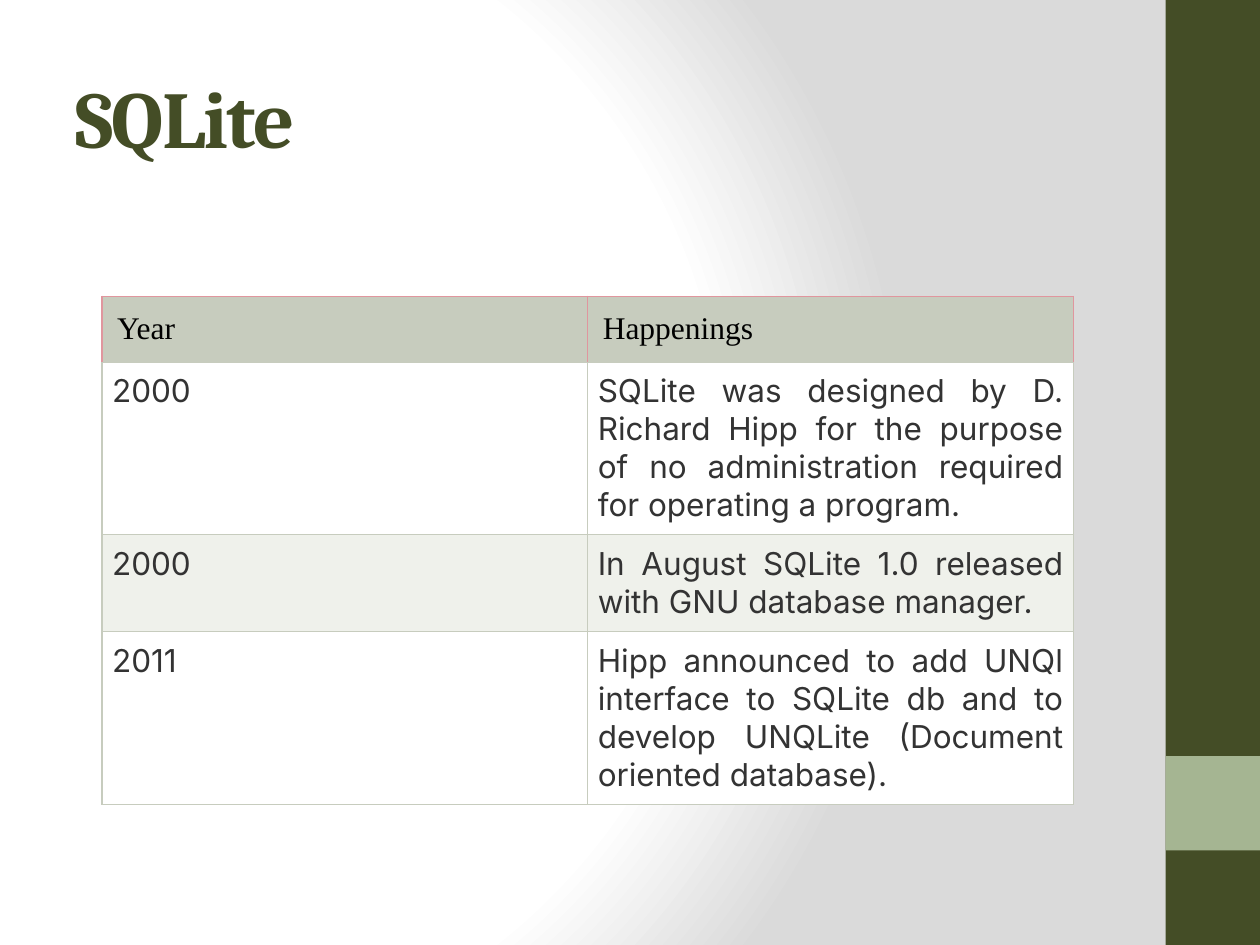
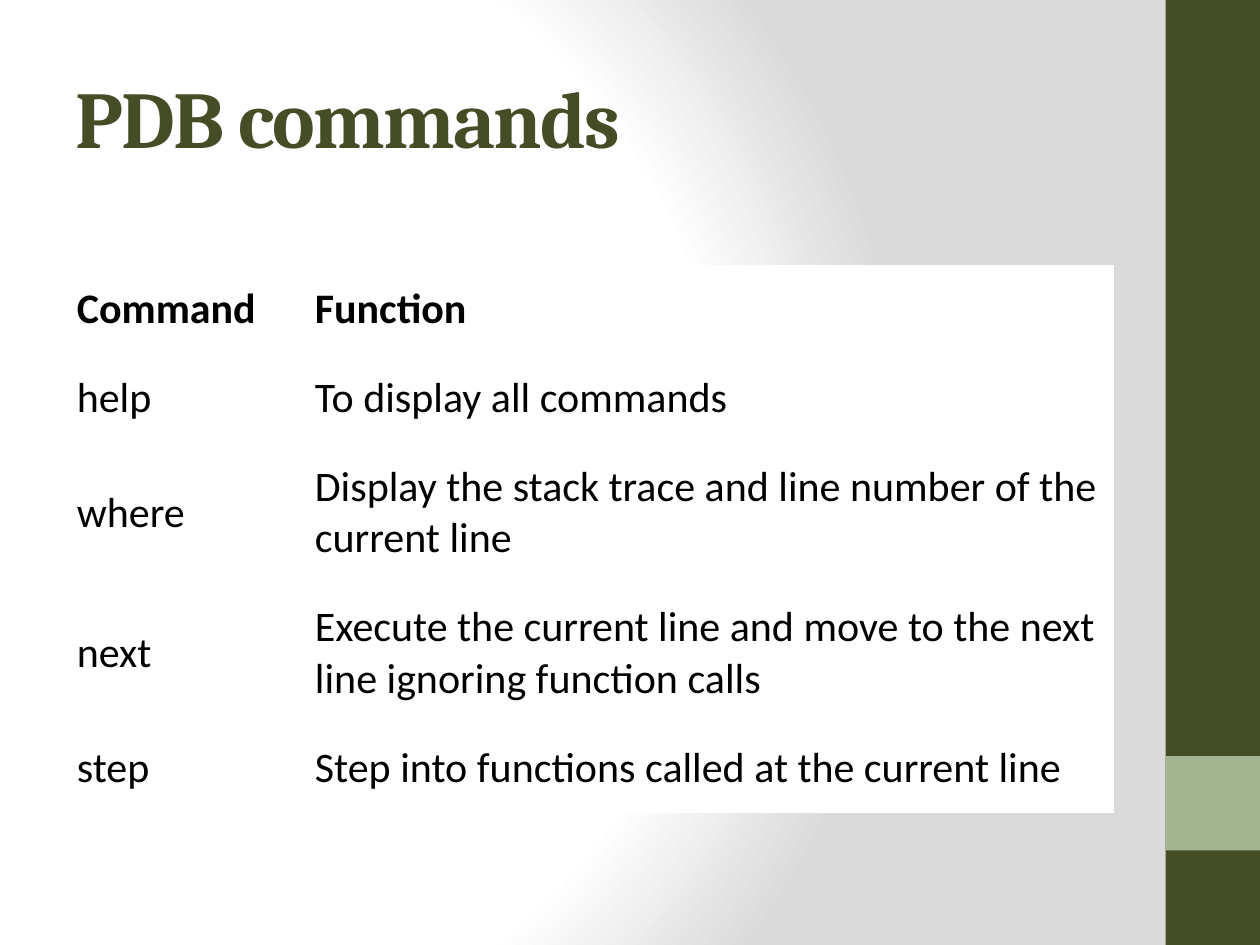
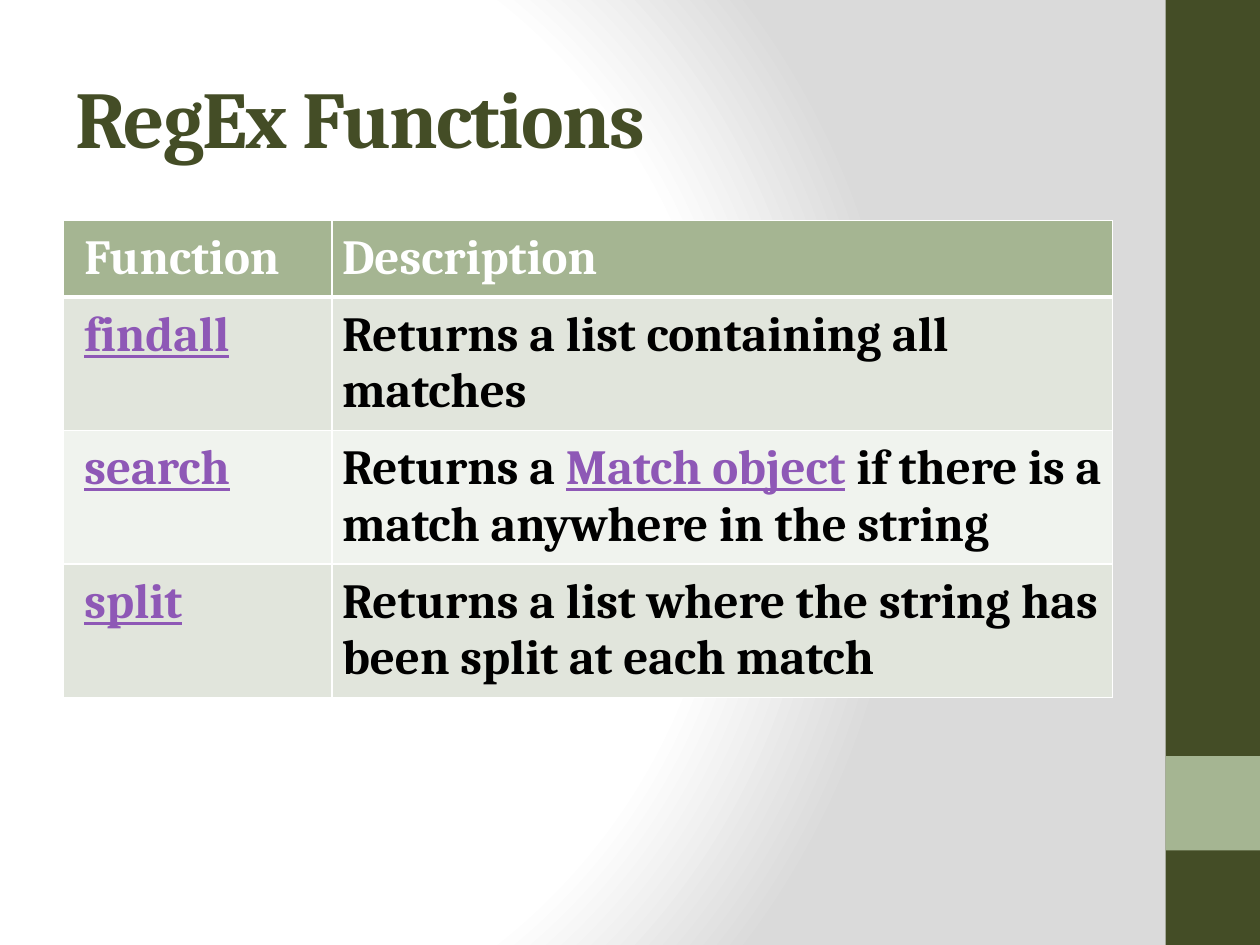
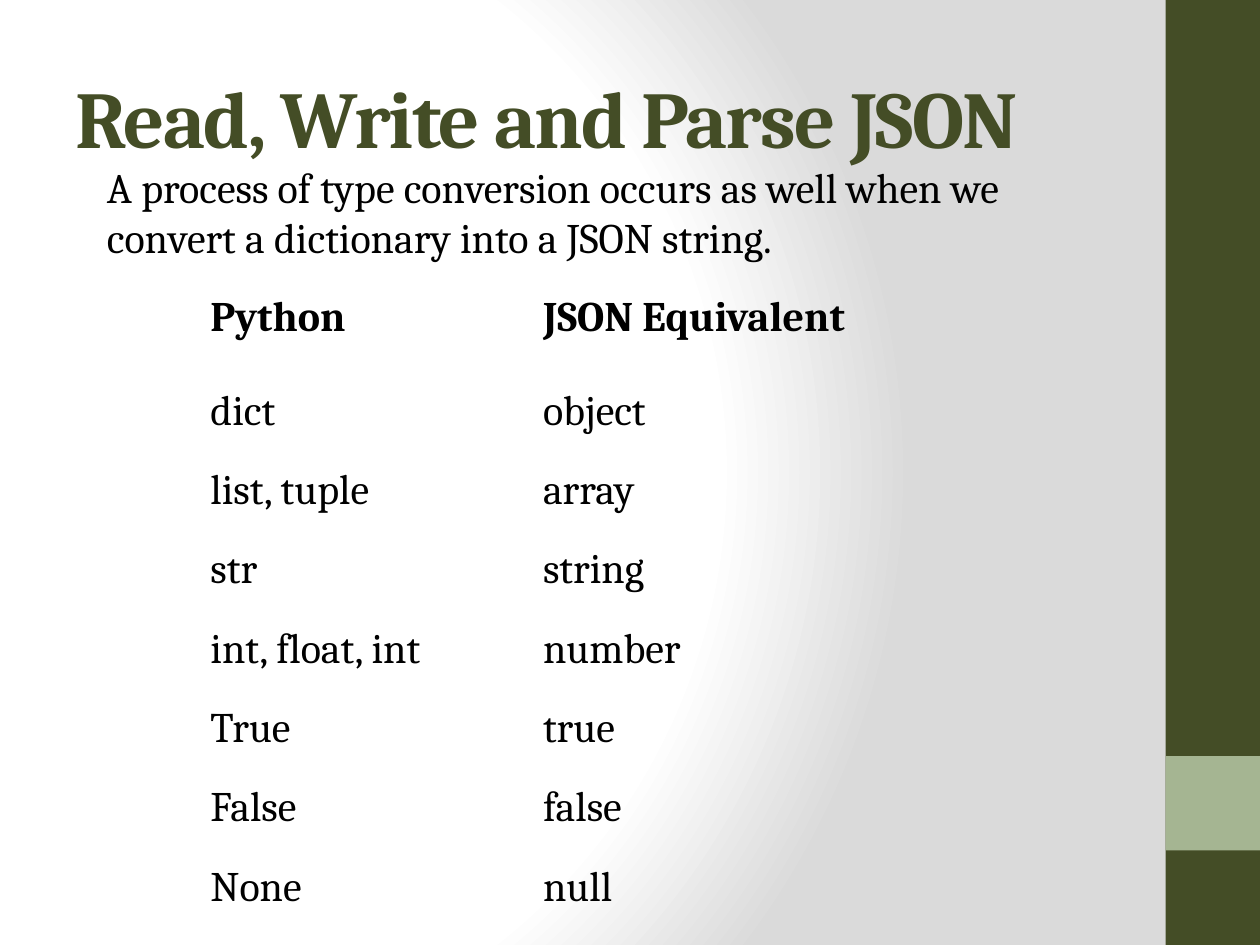
from dataclasses import dataclass, replace

from pptx import Presentation
from pptx.dml.color import RGBColor as Rgb
from pptx.enum.shapes import MSO_SHAPE as Kind
from pptx.enum.text import MSO_ANCHOR as Anchor, MSO_AUTO_SIZE as Fit, PP_ALIGN as Align
from pptx.oxml import parse_xml as to_xml
from pptx.oxml.ns import nsdecls, qn
from pptx.util import Inches, Pt

# Grid of 40 columns and 30 rows
UNIT = 0.25
COLS, ROWS = 40, 30
NO_STYLE = "{2D5ABB26-0587-4C30-8999-92F81FD0307C}"


class Theme:
    dark, sage, white, black = "444D26", "A5B592", "FFFFFF", "000000"
    mist, pale, frost, ash = "E1E5DC", "F0F3EE", "EFF1EB", "DADADA"
    stone, rose, ink, link = "C7CCBE", "E0969E", "333333", "8E58B6"
    serif, sans, roman, inter = "Cambria", "Calibri", "Times New Roman", "Inter"
    title, large, text, small = 46, 28, 24, 18


@dataclass
class Look:
    """Style of the cells in one table row."""
    face: str
    size: int
    color: str = Theme.black
    bold: bool = False
    align: Align = Align.LEFT
    anchor: Anchor = Anchor.TOP
    pad: tuple = (0.08, 0.08)   # across, down
    lead: float = None          # left inset of the first column
    fills: tuple = (None,)      # taken in turn by the rows
    edges: tuple = ()           # left, right, top, bottom as (colour, points)


def grid(*units):
    return [Inches(round(u * UNIT, 3)) for u in units]


def style(font, face, size, color, bold=False):
    font.name, font.size, font.bold = face, Pt(size), bold
    font.color.rgb = Rgb.from_string(color)


# Shared backdrop: gradient and side bands on the master
def backdrop(master):
    master.background.fill.solid()
    stops = ((0, Theme.white), (75, Theme.white), (100, Theme.ash))
    marks = "".join(f'<a:gs pos="{at * 1000}"><a:srgbClr val="{color}"/></a:gs>'
                    for at, color in stops)
    glow = to_xml(
        f'<a:gradFill {nsdecls("a")} rotWithShape="1"><a:gsLst>{marks}</a:gsLst>'
        '<a:path path="circle"><a:fillToRect l="20000" t="50000" r="100000" '
        'b="50000"/></a:path></a:gradFill>')
    base = master.element.find(".//" + qn("p:bgPr"))
    base.replace(base.find(qn("a:solidFill")), glow)


def bands(slide, master, box):
    left, top, wide, high = box
    parts = ((top, high, Theme.dark), (top + high * 0.8, high * 0.1, Theme.sage))
    tree = master.element.cSld.spTree
    for spot, (row, tall, color) in enumerate(parts, 2):
        band = slide.shapes.add_shape(Kind.RECTANGLE, *grid(left, row, wide, tall))
        band.shadow.inherit = False
        band.fill.solid()
        band.fill.fore_color.rgb = Rgb.from_string(color)
        band.line.fill.background()
        tree.insert(spot, band.element)


def start(deck, text):
    slide = deck.slides.add_slide(deck.slide_layouts[5])
    title = slide.shapes.title
    title.left, title.top, title.width, title.height = grid(2, 1.2, 33.32, 5)
    frame = title.text_frame
    frame.text = text
    frame.word_wrap, frame.auto_size = True, Fit.NONE
    frame.vertical_anchor = Anchor.MIDDLE
    para = frame.paragraphs[0]
    para.alignment = Align.LEFT
    style(para.font, Theme.serif, Theme.title, Theme.dark, True)
    title.element.find(".//" + qn("a:defRPr")).set("spc", "-100")
    return slide


# Tables
def border(cell, edges):
    props = cell._tc.get_or_add_tcPr()
    for spot, (side, (color, points)) in enumerate(zip("LRTB", edges)):
        props.insert(spot, to_xml(
            f'<a:ln{side} {nsdecls("a")} w="{Pt(points)}"><a:solidFill>'
            f'<a:srgbClr val="{color}"/></a:solidFill></a:ln{side}>'))


def write(cell, text, look):
    """Fill a cell; words between asterisks look like links."""
    para = cell.text_frame.paragraphs[0]
    para.alignment = look.align
    style(para.font, look.face, look.size, look.color, look.bold)
    for turn, part in enumerate(text.split("*")):
        if not part:
            continue
        run = para.add_run()
        run.text = part
        if turn % 2:
            run.font.underline = True
            run.font.color.rgb = Rgb.from_string(Theme.link)


def dress(cell, look, fill, first):
    across, down = look.pad
    lead = look.lead if first and look.lead else across
    cell.margin_left, cell.margin_right = Inches(lead), Inches(across)
    cell.margin_top = cell.margin_bottom = Inches(down)
    cell.vertical_anchor = look.anchor
    border(cell, look.edges)
    if fill:
        cell.fill.solid()
        cell.fill.fore_color.rgb = Rgb.from_string(fill)
    else:
        cell.fill.background()


def table(slide, spot, wides, highs, data, head, body):
    box = grid(*spot, sum(wides), sum(highs))
    frame = slide.shapes.add_table(len(data), len(wides), *box)
    frame.element.find(".//" + qn("a:tableStyleId")).text = NO_STYLE
    sheet = frame.table
    sheet.first_row = sheet.horz_banding = False
    for col, wide in zip(sheet.columns, grid(*wides)):
        col.width = wide
    for row, high in zip(sheet.rows, grid(*highs)):
        row.height = high
    for r, line in enumerate(data):
        look = body if r else head
        fill = look.fills[(r - 1) % len(look.fills)]
        for c, text in enumerate(line):
            cell = sheet.cell(r, c)
            write(cell, text, look)
            dress(cell, look, fill, c == 0)


def note(slide, box, text):
    frame = slide.shapes.add_textbox(*grid(*box)).text_frame
    frame.word_wrap, frame.auto_size = True, Fit.SHAPE_TO_FIT_TEXT
    frame.text = text
    style(frame.paragraphs[0].font, Theme.serif, Theme.text, Theme.black)


# Slides
def sqlite(deck):
    slide = start(deck, "SQLite")
    rose, stone = (Theme.rose, 0.75), (Theme.stone, 0.75)
    head = Look(Theme.roman, Theme.small, pad=(0.12, 0.12), fills=(Theme.stone,),
                edges=(rose, rose, rose, stone))
    body = Look(Theme.inter, Theme.small, Theme.ink, align=Align.JUSTIFY,
                fills=(Theme.white, Theme.frost), edges=(stone,) * 4)
    data = (
        ("Year", "Happenings"),
        ("2000", "SQLite was designed by D. Richard Hipp for the purpose of no "
                 "administration required for operating a program."),
        ("2000", "In August SQLite 1.0 released with GNU database manager."),
        ("2011", "Hipp announced to add UNQl interface to SQLite db and to "
                 "develop UNQLite (Document oriented database)."),
    )
    table(slide, (3.24, 9.4), (15.42,) * 2, (2.1, 5.48, 3.08, 5.48), data, head, body)
    return slide


def debug(deck):
    slide = start(deck, "PDB commands")
    body = Look(Theme.sans, Theme.text, anchor=Anchor.MIDDLE, pad=(0.1, 0.15),
                fills=(Theme.white,))
    data = (
        ("Command", "Function"),
        ("help", "To display all commands"),
        ("where", "Display the stack trace and line number of the current line"),
        ("next", "Execute the current line and move to the next line ignoring "
                 "function calls"),
        ("step", "Step into functions called at the current line"),
    )
    table(slide, (2.04, 8.4), (7.56, 25.76), (2.8, 2.8, 4.4, 4.4, 2.8), data,
          replace(body, bold=True), body)


def regex(deck):
    slide = start(deck, "RegEx Functions")
    thin, thick = (Theme.white, 1), (Theme.white, 3)
    body = Look(Theme.serif, Theme.large, bold=True, lead=0.17,
                fills=(Theme.mist, Theme.pale), edges=(thin,) * 4)
    head = replace(body, color=Theme.white, fills=(Theme.sage,),
                   edges=(thin, thin, thin, thick))
    first = replace(body, edges=(thin,) * 4)
    data = (
        ("Function", "Description"),
        ("*findall*", "Returns a list containing all matches"),
        ("*search*", "Returns a *Match object* if there is a match anywhere "
                     "in the string"),
        ("*split*", "Returns a list where the string has been split at each match"),
    )
    table(slide, (2, 7), (8.54, 24.78), (2.4,) + (4.24,) * 3, data, head, first)


def json(deck):
    slide = start(deck, "Read, Write and Parse JSON")
    body = Look(Theme.serif, Theme.text, anchor=Anchor.MIDDLE, pad=(0.25, 0.12))
    data = (
        ("Python", "JSON Equivalent"),
        ("dict", "object"),
        ("list, tuple", "array"),
        ("str", "string"),
        ("int, float, int", "number"),
        ("True", "true"),
        ("False", "false"),
        ("None", "null"),
    )
    table(slide, (5.68, 8.36), (10.56, 15.9), (3.44,) + (2.52,) * 7, data,
          replace(body, bold=True), body)
    note(slide, (3, 4.92, 31.8, 3.64),
         "A process of type conversion occurs as well when we convert a "
         "dictionary into a JSON string.")


def main():
    deck = Presentation()
    deck.slide_width, deck.slide_height = grid(COLS, ROWS)
    master = deck.slide_master
    backdrop(master)
    opener = sqlite(deck)
    bands(opener, master, (37, 0, 3, ROWS))
    for build in (debug, regex, json):
        build(deck)
    deck.save("out.pptx")


if __name__ == "__main__":
    main()
